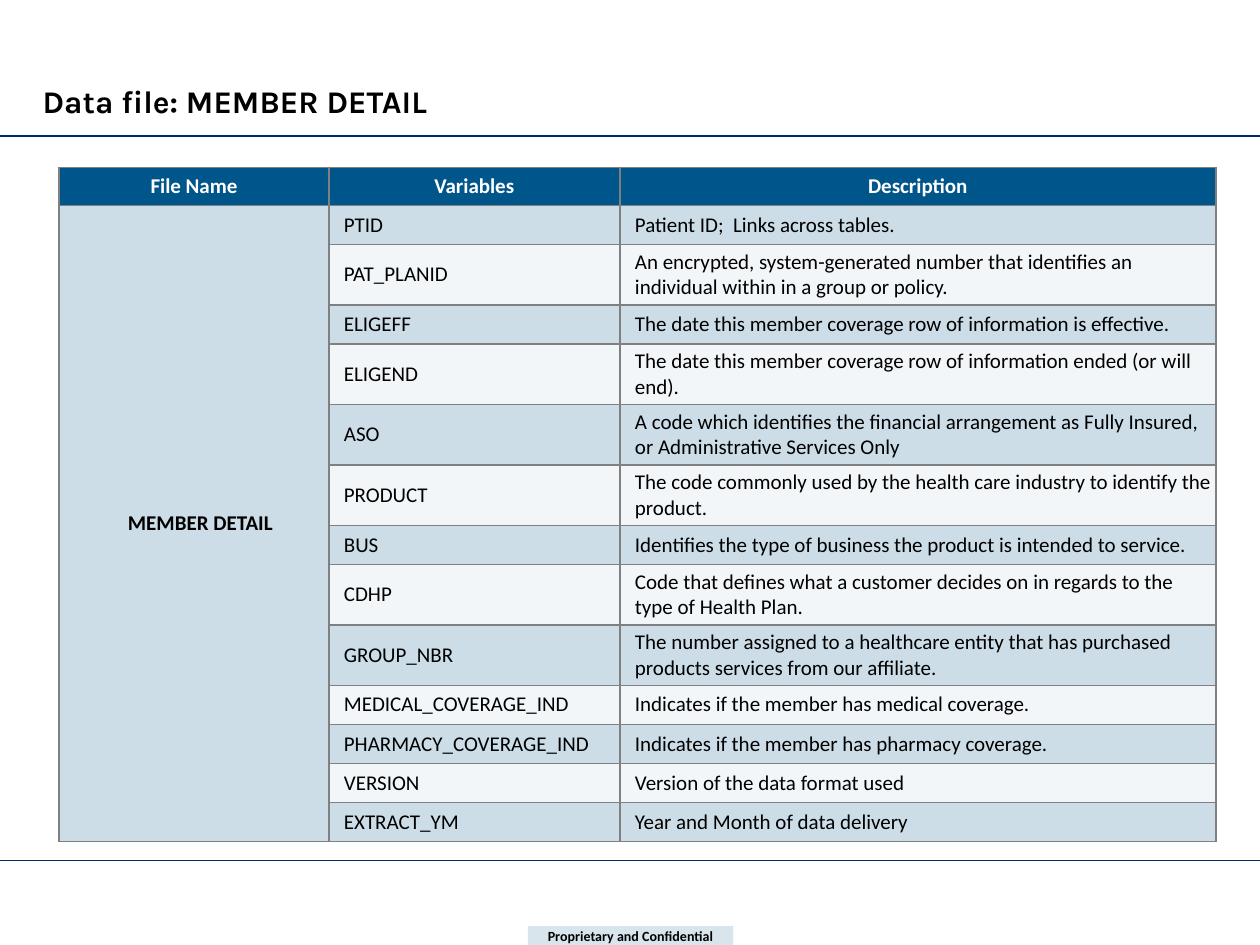
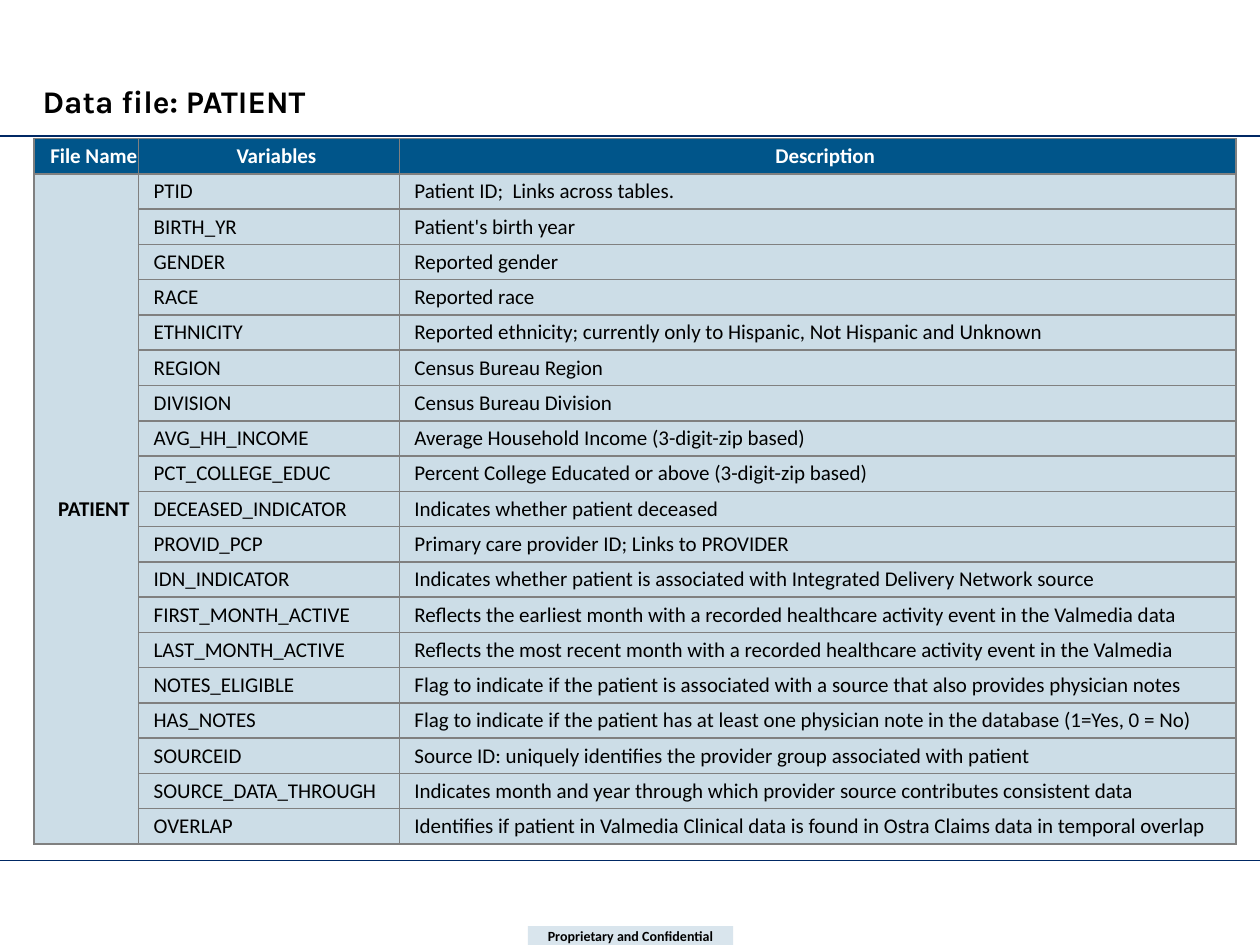
from dataclasses import dataclass
from lxml.etree import SubElement
from pptx import Presentation
from pptx.dml.color import RGBColor
from pptx.enum.shapes import MSO_CONNECTOR, MSO_SHAPE
from pptx.enum.text import MSO_ANCHOR, PP_ALIGN
from pptx.oxml.ns import qn
from pptx.util import Inches, Pt

# Content
HEADINGS = ("File Name", "Variables", "Description")
FOOTER = "Proprietary and Confidential"

MEMBER_VARIABLES = [
    ("PTID", "Patient ID;  Links across tables."),
    ("PAT_PLANID", "An encrypted, system-generated number that identifies an individual "
                   "within in a group or policy."),
    ("ELIGEFF", "The date this member coverage row of information is effective."),
    ("ELIGEND", "The date this member coverage row of information ended (or will end)."),
    ("ASO", "A code which identifies the financial arrangement as Fully Insured, "
            "or Administrative Services Only"),
    ("PRODUCT", "The code commonly used by the health care industry to identify the product."),
    ("BUS", "Identifies the type of business the product is intended to service."),
    ("CDHP", "Code that defines what a customer decides on in regards to the type of Health Plan."),
    ("GROUP_NBR", "The number assigned to a healthcare entity that has purchased "
                  "products services from our affiliate."),
    ("MEDICAL_COVERAGE_IND", "Indicates if the member has medical coverage."),
    ("PHARMACY_COVERAGE_IND", "Indicates if the member has pharmacy coverage."),
    ("VERSION", "Version of the data format used"),
    ("EXTRACT_YM", "Year and Month of data delivery"),
]

PATIENT_VARIABLES = [
    ("PTID", "Patient ID;  Links across tables."),
    ("BIRTH_YR", "Patient's birth year"),
    ("GENDER", "Reported gender"),
    ("RACE", "Reported race"),
    ("ETHNICITY", "Reported ethnicity; currently only to Hispanic, Not Hispanic and Unknown"),
    ("REGION", "Census Bureau Region"),
    ("DIVISION", "Census Bureau Division"),
    ("AVG_HH_INCOME", "Average Household Income (3-digit-zip based)"),
    ("PCT_COLLEGE_EDUC", "Percent College Educated or above (3-digit-zip based)"),
    ("DECEASED_INDICATOR", "Indicates whether patient deceased"),
    ("PROVID_PCP", "Primary care provider ID; Links to PROVIDER"),
    ("IDN_INDICATOR", "Indicates whether patient is associated with Integrated Delivery "
                      "Network source"),
    ("FIRST_MONTH_ACTIVE", "Reflects the earliest month with a recorded healthcare activity "
                           "event in the Valmedia data"),
    ("LAST_MONTH_ACTIVE", "Reflects the most recent month with a recorded healthcare activity "
                          "event in the Valmedia"),
    ("NOTES_ELIGIBLE", "Flag to indicate if the patient is associated with a source that also "
                       "provides physician notes"),
    ("HAS_NOTES", "Flag to indicate if the patient has at least one physician note in the "
                  "database (1=Yes, 0 = No)"),
    ("SOURCEID", "Source ID: uniquely identifies the provider group associated with patient"),
    ("SOURCE_DATA_THROUGH", "Indicates month and year through which provider source "
                            "contributes consistent data"),
    ("OVERLAP", "Identifies if patient in Valmedia Clinical data is found in Ostra Claims "
                "data in temporal overlap"),
]

# Margins run left, top, right, bottom; tints are the opacities that rows cycle through
DATA_FILES = [
    dict(name="MEMBER DETAIL", variables=MEMBER_VARIABLES, left=0.47, top=1.33,
         columns=(2.14, 2.31, 4.73), header_height=0.3, row_height=0.31, wrapped_height=0.48,
         line_length=67, tints=(20, 5), header_margins=(0, 0, 0, 0),
         name_margins=(0.1, 0, 0, 0), body_margins=(0.12, 0.04, 0, 0.04)),
    dict(name="PATIENT", variables=PATIENT_VARIABLES, left=0.27, top=1.1,
         columns=(0.83, 2.07, 6.64), header_height=0.28, row_height=0.28, wrapped_height=0.28,
         line_length=100, tints=(20,), header_margins=(0.12, 0.04, 0, 0.04),
         name_margins=(0.12, 0.04, 0, 0.04), body_margins=(0.12, 0.04, 0.01, 0.04)),
]


@dataclass(frozen=True)
class Theme:
    blue: str = "00558A"
    navy: str = "002864"
    gray: str = "808080"
    black: str = "000000"
    white: str = "FFFFFF"
    title_font: str = "Karla"
    body_font: str = "Calibri"
    title_size: int = 18
    table_size: int = 12
    footer_size: int = 8


THEME = Theme()
RULES = (6.83, 1.08)
PAGE_WIDTH, PAGE_HEIGHT = 10, 7.5


def set_fill(target, color, opacity=100):
    target.fill.solid()
    target.fill.fore_color.rgb = RGBColor.from_string(color)
    if opacity < 100:
        tint = target.fill._xPr.find(qn("a:solidFill"))[0]
        SubElement(tint, qn("a:alpha"), val=str(opacity * 1000))


def write(frame, text, font, size, color, bold=True, align=PP_ALIGN.LEFT):
    para = frame.paragraphs[0]
    para.text = text
    para.alignment = align
    para.font.name = font
    para.font.size = Pt(size)
    para.font.bold = bold
    para.font.color.rgb = RGBColor.from_string(color)


def set_margins(target, margins):
    (target.margin_left, target.margin_top,
     target.margin_right, target.margin_bottom) = map(Inches, margins)


def add_frame(page, title):
    # Rules above and below the content
    for height in RULES:
        rule = page.shapes.add_connector(MSO_CONNECTOR.STRAIGHT, 0, Inches(height),
                                         Inches(PAGE_WIDTH), Inches(height))
        rule.line.color.rgb = RGBColor.from_string(THEME.navy)
        rule.line.width = Pt(0.75)
        SubElement(rule._element.spPr, qn("a:effectLst"))

    # Footer band
    band = page.shapes.add_shape(MSO_SHAPE.RECTANGLE, Inches(4.19), Inches(7.35),
                                 Inches(1.63), Inches(0.15))
    band.shadow.inherit = False
    band.line.fill.background()
    set_fill(band, THEME.blue, 15)
    set_margins(band.text_frame, (0.01,) * 4)
    band.text_frame.vertical_anchor = MSO_ANCHOR.MIDDLE
    write(band.text_frame, FOOTER, THEME.body_font, THEME.footer_size, THEME.black,
          align=PP_ALIGN.CENTER)

    # Title
    box = page.shapes.add_textbox(Inches(0.24), Inches(0.6), Inches(9.5), Inches(0.4))
    box.text_frame.word_wrap = True
    box.text_frame.vertical_anchor = MSO_ANCHOR.BOTTOM
    write(box.text_frame, title, THEME.title_font, THEME.title_size, THEME.black)


def style_cell(cell, margins, opacity):
    properties = cell._tc.get_or_add_tcPr()
    for side in ("lnL", "lnR", "lnT", "lnB"):
        border = SubElement(properties, qn(f"a:{side}"), w=str(Pt(1)))
        SubElement(SubElement(border, qn("a:solidFill")), qn("a:srgbClr"), val=THEME.gray)
    set_fill(cell, THEME.blue, opacity)
    set_margins(cell, margins)
    cell.vertical_anchor = MSO_ANCHOR.MIDDLE


def add_variable_table(page, data):
    variables = data["variables"]
    heights = [data["header_height"]] + [
        data["wrapped_height"] if len(description) > data["line_length"] else data["row_height"]
        for _, description in variables]
    table = page.shapes.add_table(
        len(heights), len(HEADINGS), Inches(data["left"]), Inches(data["top"]),
        Inches(sum(data["columns"])), Inches(sum(heights))).table
    table.horz_banding = False
    for column, width in zip(table.columns, data["columns"]):
        column.width = Inches(width)
    for row, height in zip(table.rows, heights):
        row.height = Inches(height)

    # The file name spans every variable row
    rows = [HEADINGS] + [(data["name"] if number == 0 else "", *variable)
                         for number, variable in enumerate(variables)]
    for r, texts in enumerate(rows):
        for c, text in enumerate(texts):
            cell = table.cell(r, c)
            strong = r == 0 or c == 0
            if r == 0:
                margins, opacity = data["header_margins"], 100
            elif c == 0:
                margins, opacity = data["name_margins"], data["tints"][0]
            else:
                margins = data["body_margins"]
                opacity = data["tints"][(r - 1) % len(data["tints"])]
            style_cell(cell, margins, opacity)
            write(cell.text_frame, text, THEME.body_font, THEME.table_size,
                  THEME.white if r == 0 else THEME.black, strong,
                  PP_ALIGN.CENTER if strong else PP_ALIGN.LEFT)
    table.cell(1, 0).merge(table.cell(len(variables), 0))


def main():
    deck = Presentation()
    deck.slide_width, deck.slide_height = Inches(PAGE_WIDTH), Inches(PAGE_HEIGHT)
    for data in DATA_FILES:
        page = deck.slides.add_slide(deck.slide_layouts[6])
        add_frame(page, f"Data file: {data['name']}")
        add_variable_table(page, data)
    deck.save("out.pptx")


if __name__ == "__main__":
    main()
